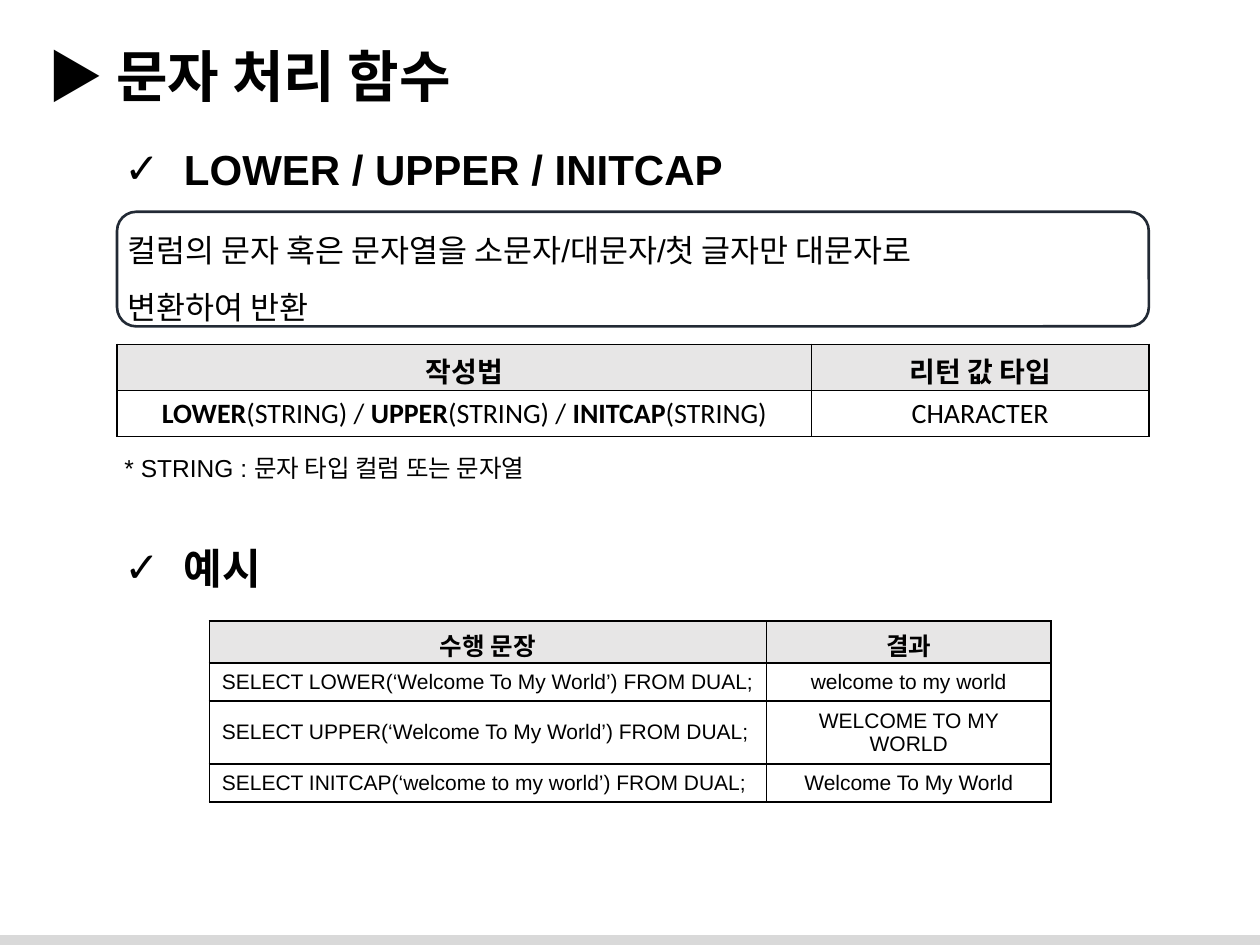
import dataclasses

import lxml.etree
import pptx
import pptx.dml.color
import pptx.enum.shapes
import pptx.enum.text
import pptx.oxml
import pptx.oxml.ns
import pptx.util

Cm = pptx.util.Cm
Pt = pptx.util.Pt
ALIGN = pptx.enum.text.PP_ALIGN
ANCHOR = pptx.enum.text.MSO_ANCHOR
SHAPES = pptx.enum.shapes.MSO_SHAPE
qn = pptx.oxml.ns.qn


@dataclasses.dataclass(frozen=True)
class Theme:
    ink: str = "000000"
    frame: str = "222A35"
    header: str = "E7E6E6"
    footer: str = "D9D9D9"
    font: str = "Arial"
    syntax_font: str = "Calibri"
    title: int = 32
    heading: int = 24
    body: int = 18
    syntax: int = 16
    note: int = 14
    code: int = 12


THEME = Theme()


def rgb(value):
    return pptx.dml.color.RGBColor.from_string(value)


def style(run, size, bold=False, font=THEME.font):
    run.font.name = font
    run.font.size = Pt(size)
    run.font.bold = bold
    run.font.color.rgb = rgb(THEME.ink)


def add_line(slide, box, text, size, bold=False):
    label = slide.shapes.add_textbox(*map(Cm, box))
    label.text_frame.word_wrap = True
    paragraph = label.text_frame.paragraphs[0]
    paragraph.text = text
    style(paragraph.runs[0], size, bold)
    return paragraph


def add_heading(slide, box, text):
    heading = add_line(slide, box, text, THEME.heading, bold=True)
    properties = heading._p.get_or_add_pPr()
    properties.set("marL", str(Cm(1.2)))
    properties.set("indent", str(Cm(-1.2)))
    lxml.etree.SubElement(properties, qn("a:buFont"), typeface=THEME.font)
    lxml.etree.SubElement(properties, qn("a:buChar"), char="✓")


def add_description(slide, box, lines):
    panel = slide.shapes.add_shape(SHAPES.ROUNDED_RECTANGLE, *map(Cm, box))
    panel.shadow.inherit = False
    panel.fill.background()
    panel.line.color.rgb = rgb(THEME.frame)
    panel.line.width = Pt(1.5)
    frame = panel.text_frame
    frame.word_wrap = True
    frame.vertical_anchor = ANCHOR.MIDDLE
    frame.margin_left, frame.margin_right = Cm(0.1), 0
    frame.text = "\n".join(lines)
    for paragraph in frame.paragraphs:
        paragraph.alignment = ALIGN.LEFT
        paragraph.line_spacing = 1.5
        style(paragraph.runs[0], THEME.body)


def add_borders(cell):
    properties = cell._tc.get_or_add_tcPr()
    for index, side in enumerate(("lnL", "lnR", "lnT", "lnB")):
        border = pptx.oxml.parse_xml(
            f'<a:{side} {pptx.oxml.ns.nsdecls("a")} w="{Pt(1)}"><a:solidFill>'
            f'<a:srgbClr val="{THEME.ink}"/></a:solidFill></a:{side}>'
        )
        properties.insert(index, border)


def add_grid(slide, left, top, widths, heights, rows):
    frame = slide.shapes.add_table(
        len(rows), len(widths), Cm(left), Cm(top), Cm(sum(widths)), Cm(sum(heights))
    )
    grid = frame.table
    grid.horz_banding = False
    for column, width in zip(grid.columns, widths):
        column.width = Cm(width)
    for row, height, texts in zip(grid.rows, heights, rows):
        row.height = Cm(height)
        for cell, text in zip(row.cells, texts):
            cell.text = text
            cell.vertical_anchor = ANCHOR.MIDDLE
            cell.text_frame.paragraphs[0].alignment = ALIGN.CENTER
            cell.fill.background()
            add_borders(cell)
    for cell in grid.rows[0].cells:
        cell.fill.solid()
        cell.fill.fore_color.rgb = rgb(THEME.header)
    return grid


def add_syntax(slide, left, top):
    functions = ("LOWER", "UPPER", "INITCAP")
    grid = add_grid(
        slide, left, top, (14, 6.8), (0.93, 0.93),
        (("작성법", "리턴 값 타입"), ("", "CHARACTER")),
    )
    for cell in grid.rows[0].cells:
        style(cell.text_frame.paragraphs[0].runs[0], THEME.syntax, True)
    usage, returned = (cell.text_frame.paragraphs[0] for cell in grid.rows[1].cells)
    style(returned.runs[0], THEME.syntax, font=THEME.syntax_font)
    for function in functions:
        separator = "" if function == functions[-1] else " / "
        for text, bold in ((function, True), (f"(STRING){separator}", False)):
            run = usage.add_run()
            run.text = text
            style(run, THEME.syntax, bold, THEME.syntax_font)


def add_examples(slide, left, top):
    examples = (
        ("LOWER", "Welcome To My World", "welcome to my world"),
        ("UPPER", "Welcome To My World", "WELCOME TO MY WORLD"),
        ("INITCAP", "welcome to my world", "Welcome To My World"),
    )
    rows = [("수행 문장", "결과")]
    for function, argument, result in examples:
        rows.append((f"SELECT {function}(‘{argument}’) FROM DUAL;", result))
    grid = add_grid(slide, left, top, (11.23, 5.74), (0.83, 0.76, 1.27, 0.76), rows)
    for index, row in enumerate(grid.rows):
        for cell in row.cells:
            run = cell.text_frame.paragraphs[0].runs[0]
            if index == 0:
                style(run, THEME.note, True, THEME.syntax_font)
            else:
                style(run, THEME.code)
        if index:
            row.cells[0].text_frame.paragraphs[0].alignment = ALIGN.LEFT


def add_footer(slide, box):
    footer = slide.shapes.add_shape(SHAPES.RECTANGLE, *map(Cm, box))
    footer.shadow.inherit = False
    footer.fill.solid()
    footer.fill.fore_color.rgb = rgb(THEME.footer)
    footer.line.fill.background()


def main():
    deck = pptx.Presentation()
    deck.slide_width, deck.slide_height = Cm(25.4), Cm(19.05)
    slide = deck.slides.add_slide(deck.slide_layouts[6])
    add_footer(slide, (0, 18.85, 25.4, 0.2))
    add_line(slide, (0.71, 0.71, 24, 1.62), "▶ 문자 처리 함수", THEME.title, bold=True)
    add_heading(slide, (2.26, 2.77, 12.75, 1.27), "LOWER / UPPER / INITCAP")
    add_description(
        slide, (2.36, 4.27, 20.8, 2.31),
        ("컬럼의 문자 혹은 문자열을 소문자/대문자/첫 글자만 대문자로", "변환하여 반환"),
    )
    add_syntax(slide, 2.36, 6.94)
    add_line(slide, (2.26, 9, 9.25, 0.86), "* STRING : 문자 타입 컬럼 또는 문자열", THEME.note)
    add_heading(slide, (2.26, 10.82, 3.48, 1.27), "예시")
    add_examples(slide, 4.22, 12.52)
    deck.save("out.pptx")


if __name__ == "__main__":
    main()
